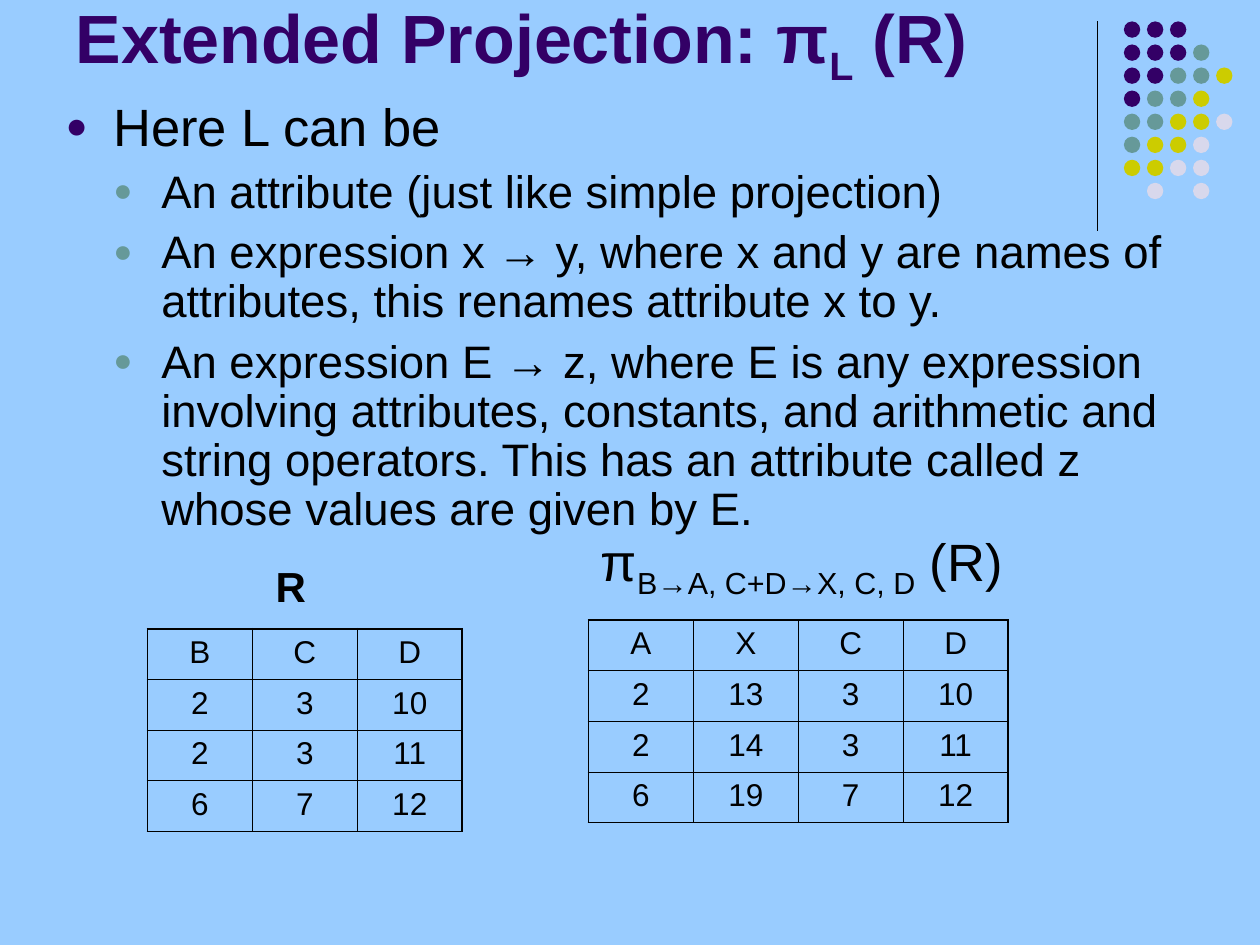
from dataclasses import dataclass

from lxml import etree
from pptx import Presentation
from pptx.dml.color import RGBColor
from pptx.enum.shapes import MSO_CONNECTOR, MSO_SHAPE
from pptx.enum.text import MSO_ANCHOR, MSO_AUTO_SIZE, PP_ALIGN
from pptx.oxml.ns import qn
from pptx.util import Inches, Pt

LEFT, CENTER = PP_ALIGN.LEFT, PP_ALIGN.CENTER
TOP, BOTTOM = MSO_ANCHOR.TOP, MSO_ANCHOR.BOTTOM
NO_FIT, GROW = MSO_AUTO_SIZE.NONE, MSO_AUTO_SIZE.SHAPE_TO_FIT_TEXT
ELLIPSE, STRAIGHT = MSO_SHAPE.OVAL, MSO_CONNECTOR.STRAIGHT

FONT = "Arial"
BACKGROUND, BLACK = "99CCFF", "000000"
PURPLE, TEAL, YELLOW, PALE = "330066", "669999", "CCCC00", "D8D8EC"

DOT_COLORS = {"P": PURPLE, "T": TEAL, "Y": YELLOW, "L": PALE}
DOT_ROWS = ["PPP", "PPPT", "PPTTY", "PTTY", "TTYYL", "TYYL", "YYLL", " L L"]
DOT_LEFT, DOT_TOP, DOT_PITCH, DOT_SIZE = 8.92, 0.17, 0.183, 0.13

COLUMN_WIDTH, ROW_HEIGHT = 0.833, 0.402
OUTER_BORDER, INNER_BORDER = 1.08, 0.45


@dataclass
class Bullet:
    text: str
    size: int
    color: str
    level: int = 1
    space_before: float = 6.5


@dataclass
class Relation:
    left: float
    top: float
    rows: list[str]


BULLETS = [
    Bullet("Here L can be", 30, PURPLE, level=0, space_before=0),
    Bullet("An attribute (just like simple projection)", 26, TEAL),
    Bullet("An expression x → y, where x and y are names of attributes, "
           "this renames attribute x to y.", 26, TEAL),
    Bullet("An expression E → z, where E is any expression involving attributes, "
           "constants, and arithmetic and string operators. This has an attribute "
           "called z whose values are given by E.", 26, TEAL),
]
RELATIONS = [
    Relation(1.17, 4.99, ["B C D", "2 3 10", "2 3 11", "6 7 12"]),
    Relation(4.67, 4.92, ["A X C D", "2 13 3 10", "2 14 3 11", "6 19 7 12"]),
]


def rgb(color: str) -> RGBColor:
    return RGBColor.from_string(color)


def add_text(paragraph, text: str, *, size: float, color: str = BLACK,
             bold: bool = False, subscript: bool = False) -> None:
    run = paragraph.add_run()
    run.text = text
    font = run.font
    font.name, font.size, font.bold = FONT, Pt(size), bold
    font.color.rgb = rgb(color)
    if subscript:
        run._r.get_or_add_rPr().set("baseline", "-25000")


def place(shape, left: float, top: float, width: float, height: float) -> None:
    shape.left, shape.top = Inches(left), Inches(top)
    shape.width, shape.height = Inches(width), Inches(height)


def set_bullet(paragraph, color: str, indent: float, hanging: float) -> None:
    properties = paragraph._p.get_or_add_pPr()
    properties.set("marL", str(Inches(indent)))
    properties.set("indent", str(-Inches(hanging)))
    bullet_color = etree.SubElement(properties, qn("a:buClr"))
    etree.SubElement(bullet_color, qn("a:srgbClr"), val=color)
    etree.SubElement(properties, qn("a:buSzPct"), val="70000")
    etree.SubElement(properties, qn("a:buFont"), typeface=FONT)
    etree.SubElement(properties, qn("a:buChar"), char="●")


def add_label(slide, left: float, top: float, width: float, height: float):
    """Add a non-wrapping text box and return its first paragraph."""
    box = slide.shapes.add_textbox(
        Inches(left), Inches(top), Inches(width), Inches(height))
    box.text_frame.word_wrap = False
    box.text_frame.auto_size = GROW
    return box.text_frame.paragraphs[0]


def set_border(cell, side: str, width: float) -> None:
    line = etree.SubElement(cell._tc.get_or_add_tcPr(), qn(f"a:ln{side}"),
                            w=str(Pt(width)))
    fill = etree.SubElement(line, qn("a:solidFill"))
    etree.SubElement(fill, qn("a:srgbClr"), val=BLACK)


def add_relation(slide, relation: Relation) -> None:
    values = [row.split() for row in relation.rows]
    last_row, last_column = len(values) - 1, len(values[0]) - 1
    table = slide.shapes.add_table(
        len(values), len(values[0]), Inches(relation.left), Inches(relation.top),
        Inches(COLUMN_WIDTH * len(values[0])),
        Inches(ROW_HEIGHT * len(values))).table
    table.first_row = table.horz_banding = False
    for row_index, row in enumerate(values):
        for column_index, value in enumerate(row):
            cell = table.cell(row_index, column_index)
            outer_sides = {"L": column_index == 0, "R": column_index == last_column,
                           "T": row_index == 0, "B": row_index == last_row}
            for side, is_outer in outer_sides.items():
                set_border(cell, side, OUTER_BORDER if is_outer else INNER_BORDER)
            cell.fill.background()
            paragraph = cell.text_frame.paragraphs[0]
            paragraph.alignment = CENTER
            add_text(paragraph, value, size=18)


def add_decoration(slide) -> None:
    # Vertical rule
    rule = slide.shapes.add_connector(
        STRAIGHT, Inches(8.71), Inches(0.17), Inches(8.71), Inches(1.83))
    rule.line.color.rgb = rgb(BLACK)
    rule.line.width = Pt(0.75)
    etree.SubElement(rule._element.spPr, qn("a:effectLst"))

    # Dot pattern
    group = slide.shapes.add_group_shape()
    for row_index, row in enumerate(DOT_ROWS):
        for column_index, key in enumerate(row):
            if key not in DOT_COLORS:
                continue
            dot = group.shapes.add_shape(
                ELLIPSE, Inches(DOT_LEFT + column_index * DOT_PITCH),
                Inches(DOT_TOP + row_index * DOT_PITCH),
                Inches(DOT_SIZE), Inches(DOT_SIZE))
            dot.shadow.inherit = False
            dot.fill.solid()
            dot.fill.fore_color.rgb = rgb(DOT_COLORS[key])
            dot.line.fill.background()


def fill_title(title) -> None:
    place(title, 0.5, 0.13, 8.25, 0.62)
    frame = title.text_frame
    frame.auto_size, frame.vertical_anchor = NO_FIT, BOTTOM
    paragraph = frame.paragraphs[0]
    paragraph.alignment = LEFT
    for text, subscript in [("Extended Projection: π", False), ("L", True),
                            (" (R)", False)]:
        add_text(paragraph, text, size=39, color=PURPLE, bold=True,
                 subscript=subscript)


def fill_body(body) -> None:
    place(body, 0.42, 0.75, 9, 3.67)
    frame = body.text_frame
    frame.auto_size, frame.vertical_anchor = NO_FIT, TOP
    for index, bullet in enumerate(BULLETS):
        paragraph = frame.add_paragraph() if index else frame.paragraphs[0]
        paragraph.level = bullet.level
        paragraph.line_spacing = 0.9
        paragraph.space_before = Pt(bullet.space_before)
        set_bullet(paragraph, bullet.color, 0.38 * (bullet.level + 1), 0.38)
        add_text(paragraph, bullet.text, size=bullet.size)


def main() -> None:
    presentation = Presentation()
    presentation.slide_width, presentation.slide_height = Inches(10), Inches(7.5)
    slide = presentation.slides.add_slide(presentation.slide_layouts[1])
    slide.background.fill.solid()
    slide.background.fill.fore_color.rgb = rgb(BACKGROUND)

    add_decoration(slide)
    fill_title(slide.shapes.title)
    fill_body(slide.placeholders[1])

    # Relations and their names
    add_text(add_label(slide, 2.09, 4.4, 0.44, 0.5), "R", size=24, bold=True)
    projection = add_label(slide, 4.67, 4.15, 3.39, 0.67)
    add_text(projection, "π", size=30)
    add_text(projection, "B→A, C+D→X, C, D", size=30, subscript=True)
    add_text(projection, " (R)", size=30)
    for relation in RELATIONS:
        add_relation(slide, relation)

    presentation.save("out.pptx")


if __name__ == "__main__":
    main()
